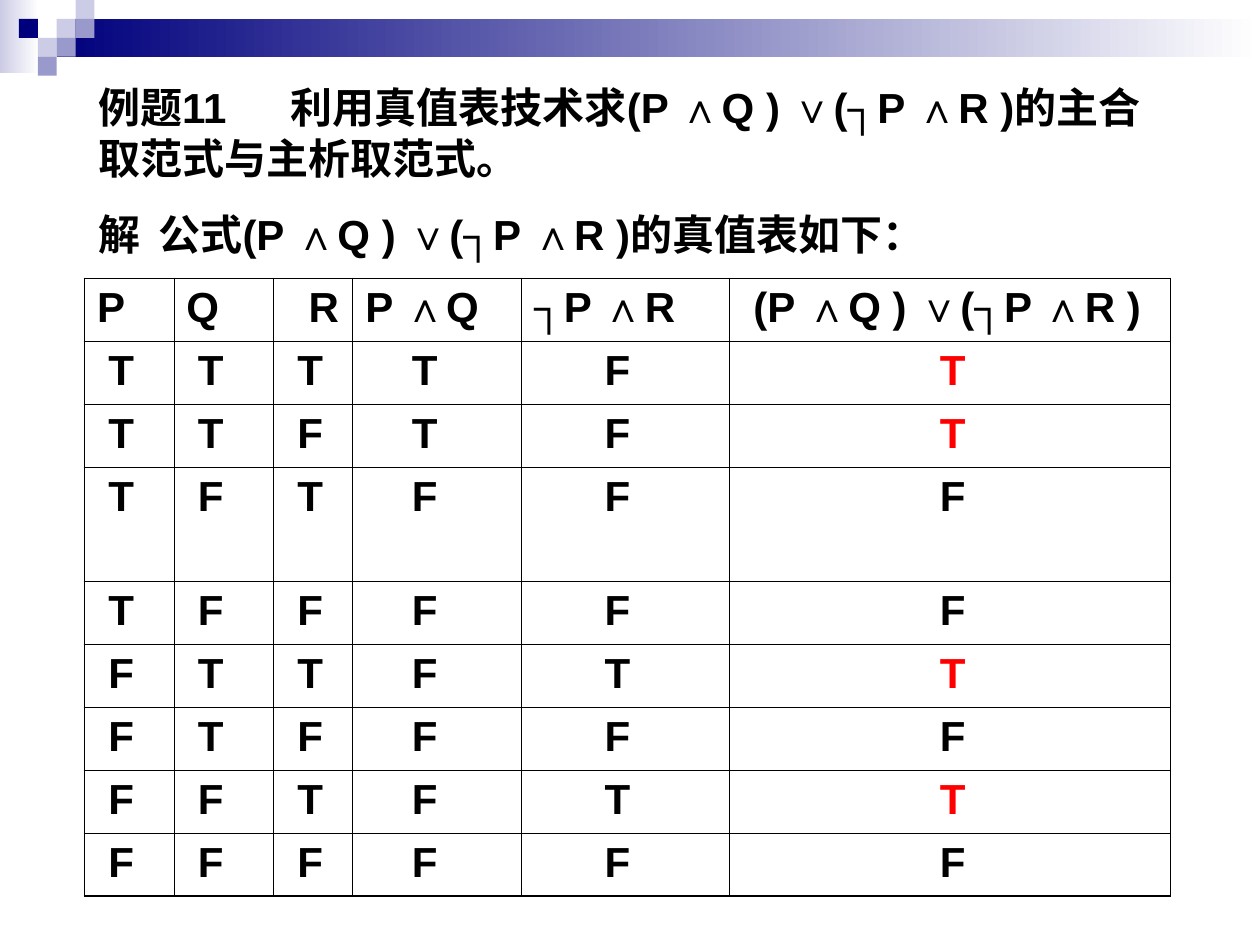
from lxml import etree
from pptx import Presentation
from pptx import util as u
from pptx.dml.color import RGBColor
from pptx.enum import shapes
from pptx.oxml.ns import qn

COLORS = {"navy": "00007D", "violet": "9999CC", "lilac": "CCCCE6",
          "white": "FFFFFF", "ink": "000000", "true": "FF0000"}
FONT = {"name": "Arial", "size": u.Pt(24), "bold": True}

# left, top, width, height, start colour; each fades to white
BANDS = [(0, 0, 0.31, 0.58, "lilac"), (0.45, 0.15, 9.55, 0.3, "navy")]
# column, row, colour on the grid of small squares
SQUARES = [(3, 1, "lilac"), (4, 0, "lilac"), (4, 1, "violet"), (2, 2, "lilac"),
           (1, 1, "navy"), (3, 2, "violet"), (2, 3, "violet")]
SQUARE = 0.15

# text, tab stop after the label
PROBLEM = [
    ("例题11\t利用真值表技术求(P ∧Q ) ∨(┐P ∧R )的主合取范式与主析取范式。", 1.53),
    ("解\t公式(P ∧Q ) ∨(┐P ∧R )的真值表如下：", 0.48),
]

# heading, width, indent of heading, indent of values
COLUMNS = [
    ("P", 0.71, 0, 0.09),
    ("Q", 0.79, 0, 0.09),
    ("R", 0.63, 0.18, 0.09),
    ("P ∧Q", 1.34, 0, 0.37),
    ("┐P ∧R", 1.65, 0, 0.56),
    ("(P ∧Q ) ∨(┐P ∧R )", 3.5, 0.09, 1.57),
]
TRUTH = ["TTTTFT", "TTFTFT", "TFTFFF", "TFFFFF",
         "FTTFTT", "FTFFFF", "FFTFTT", "FFFFFF"]
ROW_HEIGHTS = [0.5, 0.5, 0.5, 0.9, 0.5, 0.5, 0.5, 0.5, 0.5]
OUTER, INNER = 1.08, 0.45


def rgb(name):
    return RGBColor.from_string(COLORS[name])


def add_block(slide, left, top, width, height):
    block = slide.shapes.add_shape(shapes.MSO_SHAPE.RECTANGLE,
                                   *map(u.Inches, (left, top, width, height)))
    block.shadow.inherit = False
    block.line.fill.background()
    return block


def add_decoration(slide):
    for *box, color in BANDS:
        fill = add_block(slide, *box).fill
        fill.gradient()
        fill.gradient_angle = 0
        for stop, name in zip(fill.gradient_stops, (color, "white")):
            stop.color.rgb = rgb(name)
    for col, row, color in SQUARES:
        fill = add_block(slide, col * SQUARE, row * SQUARE, SQUARE, SQUARE).fill
        fill.solid()
        fill.fore_color.rgb = rgb(color)


def write(paragraph, words, space_before, color="ink"):
    paragraph.space_before = u.Pt(space_before)
    run = paragraph.add_run()
    run.text = words
    for key, value in FONT.items():
        setattr(run.font, key, value)
    run.font.color.rgb = rgb(color)


def add_problem(slide):
    frame = slide.shapes.add_textbox(*map(u.Inches, (0.68, 0.6, 8.68, 1.51))).text_frame
    frame.word_wrap = True
    for i, (words, stop) in enumerate(PROBLEM):
        paragraph = frame.add_paragraph() if i else frame.paragraphs[0]
        write(paragraph, words, 15)
        tabs = etree.SubElement(paragraph._p.get_or_add_pPr(), qn("a:tabLst"))
        etree.SubElement(tabs, qn("a:tab"), pos=str(u.Inches(stop)), algn="l")


def set_borders(cell, widths):
    """Draw the left, right, top and bottom lines, with widths in points."""
    props = cell._tc.get_or_add_tcPr()
    for i, (side, width) in enumerate(zip("LRTB", widths)):
        line = etree.Element(qn(f"a:ln{side}"), w=str(u.Pt(width)))
        fill = etree.SubElement(line, qn("a:solidFill"))
        etree.SubElement(fill, qn("a:srgbClr"), val=COLORS["ink"])
        props.insert(i, line)


def add_truth_table(slide):
    rows = [[column[0] for column in COLUMNS], *TRUTH]
    last_row, last_col = len(rows) - 1, len(COLUMNS) - 1
    size = (sum(column[1] for column in COLUMNS), sum(ROW_HEIGHTS))
    table = slide.shapes.add_table(len(rows), len(COLUMNS),
                                   *map(u.Inches, (0.67, 2.21, *size))).table
    table.first_row = table.horz_banding = False
    for column, (_, width, _, _) in zip(table.columns, COLUMNS):
        column.width = u.Inches(width)
    for r, (values, height) in enumerate(zip(rows, ROW_HEIGHTS)):
        table.rows[r].height = u.Inches(height)
        for c, value in enumerate(values):
            cell = table.cell(r, c)
            cell.fill.background()
            edges = (c == 0, c == last_col, r == 0, r == last_row)
            set_borders(cell, [OUTER if edge else INNER for edge in edges])
            paragraph = cell.text_frame.paragraphs[0]
            is_true = c == last_col and value == "T"
            write(paragraph, value, 6, "true" if is_true else "ink")
            indent = COLUMNS[c][3 if r else 2]
            paragraph._p.get_or_add_pPr().set("marL", str(u.Inches(indent)))


def main():
    deck = Presentation()
    deck.slide_width, deck.slide_height = u.Inches(10), u.Inches(7.5)
    slide = deck.slides.add_slide(deck.slide_layouts[6])
    add_decoration(slide)
    add_problem(slide)
    add_truth_table(slide)
    deck.save("out.pptx")


if __name__ == "__main__":
    main()
